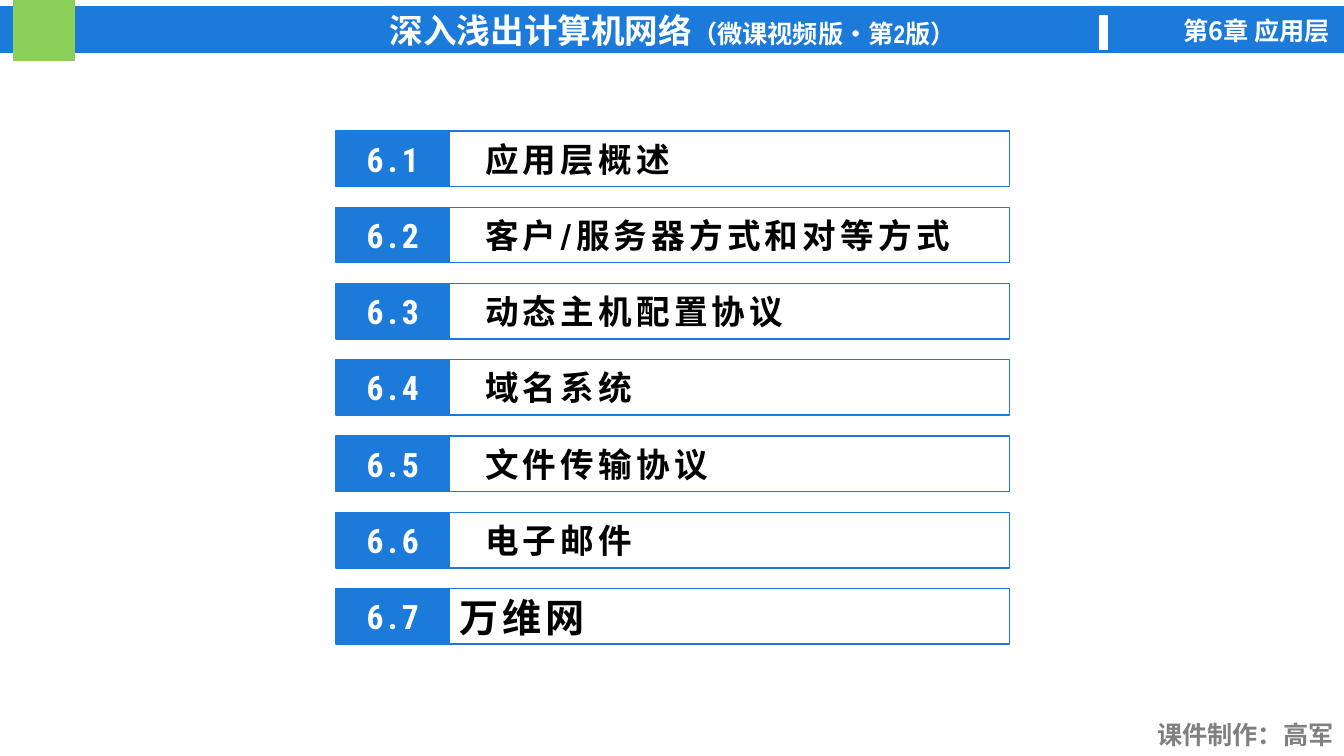
from lxml.etree import SubElement
from pptx import Presentation
from pptx.dml.color import RGBColor
from pptx.enum.shapes import MSO_SHAPE
from pptx.enum.text import MSO_ANCHOR, PP_ALIGN
from pptx.oxml.ns import qn
from pptx.util import Pt

BLUE = RGBColor(0x1B, 0x7A, 0xDA)
GREEN = RGBColor(0x8A, 0xCF, 0x57)
WHITE = RGBColor(0xFF, 0xFF, 0xFF)
BLACK = RGBColor(0, 0, 0)
GRAY = RGBColor(0x80, 0x80, 0x80)

CJK = "Noto Sans CJK SC"
NARROW = "Arial Narrow"
CONDENSED = "Roboto Condensed"

SECTIONS = [
    "应用层概述",
    "客户/服务器方式和对等方式",
    "动态主机配置协议",
    "域名系统",
    "文件传输协议",
    "电子邮件",
    "万维网",
]
ROW_TOP, ROW_PITCH, ROW_HEIGHT = 93.5, 54.5, 39.6


def add_rect(s, left, top, width, height, line, fill=None):
    sp = s.shapes.add_shape(MSO_SHAPE.RECTANGLE, Pt(left), Pt(top), Pt(width), Pt(height))
    sp.shadow.inherit = False
    if fill is None:
        sp.fill.background()
    else:
        sp.fill.solid()
        sp.fill.fore_color.rgb = fill
    sp.line.color.rgb = line
    sp.line.width = Pt(1)
    sp.text_frame.word_wrap = True
    sp.text_frame.vertical_anchor = MSO_ANCHOR.MIDDLE
    return sp


def add_text(sp, text, size=24, font=NARROW, color=WHITE, align=PP_ALIGN.CENTER, spacing=0):
    p = sp.text_frame.paragraphs[0]
    p.alignment = align
    r = p.add_run()
    r.text = text
    r.font.size = Pt(size)
    r.font.bold = True
    r.font.color.rgb = color
    r.font.name = font
    rPr = r._r.get_or_add_rPr()
    SubElement(rPr, qn("a:ea")).set("typeface", CJK)
    if spacing:
        rPr.set("spc", str(spacing * 100))


def add_label(s, left, top, width, text, **fmt):
    sp = s.shapes.add_textbox(Pt(left), Pt(top), Pt(width), Pt(29))
    sp.text_frame.word_wrap = True
    add_text(sp, text, size=18, align=PP_ALIGN.RIGHT, **fmt)


def add_header(s):
    banner = add_rect(s, 0, 5, 961, 32.4, BLUE, BLUE)
    add_text(banner, "深入浅出计算机网络")
    add_text(banner, "（微课视频版•第2版）", size=18)
    add_rect(s, 10.1, 0, 43.2, 43.2, GREEN, GREEN)
    add_rect(s, 785.5, 11.5, 5.8, 23.8, WHITE, WHITE)
    add_label(s, 800, 7.2, 157, "第6章 应用层", font=CJK)


def add_section(s, index, title):
    top = ROW_TOP + index * ROW_PITCH
    number = add_rect(s, 240, top, 81, ROW_HEIGHT, BLUE, BLUE)
    add_text(number, f"6.{index + 1}", font=CONDENSED, spacing=3)
    box = add_rect(s, 321, top, 400, ROW_HEIGHT, BLUE)
    last = index == len(SECTIONS) - 1
    box.text_frame.margin_left = Pt(7.2 if last else 25.5)
    add_text(box, title, size=28 if last else 24, font=CONDENSED, color=BLACK,
             align=PP_ALIGN.LEFT, spacing=3)


def main():
    prs = Presentation()
    prs.slide_width, prs.slide_height = Pt(960), Pt(540)
    s = prs.slides.add_slide(prs.slide_layouts[6])
    add_header(s)
    add_label(s, 816.5, 510.5, 143, "课件制作：高军", color=GRAY)
    for index, title in enumerate(SECTIONS):
        add_section(s, index, title)
    prs.save("out.pptx")


if __name__ == "__main__":
    main()
